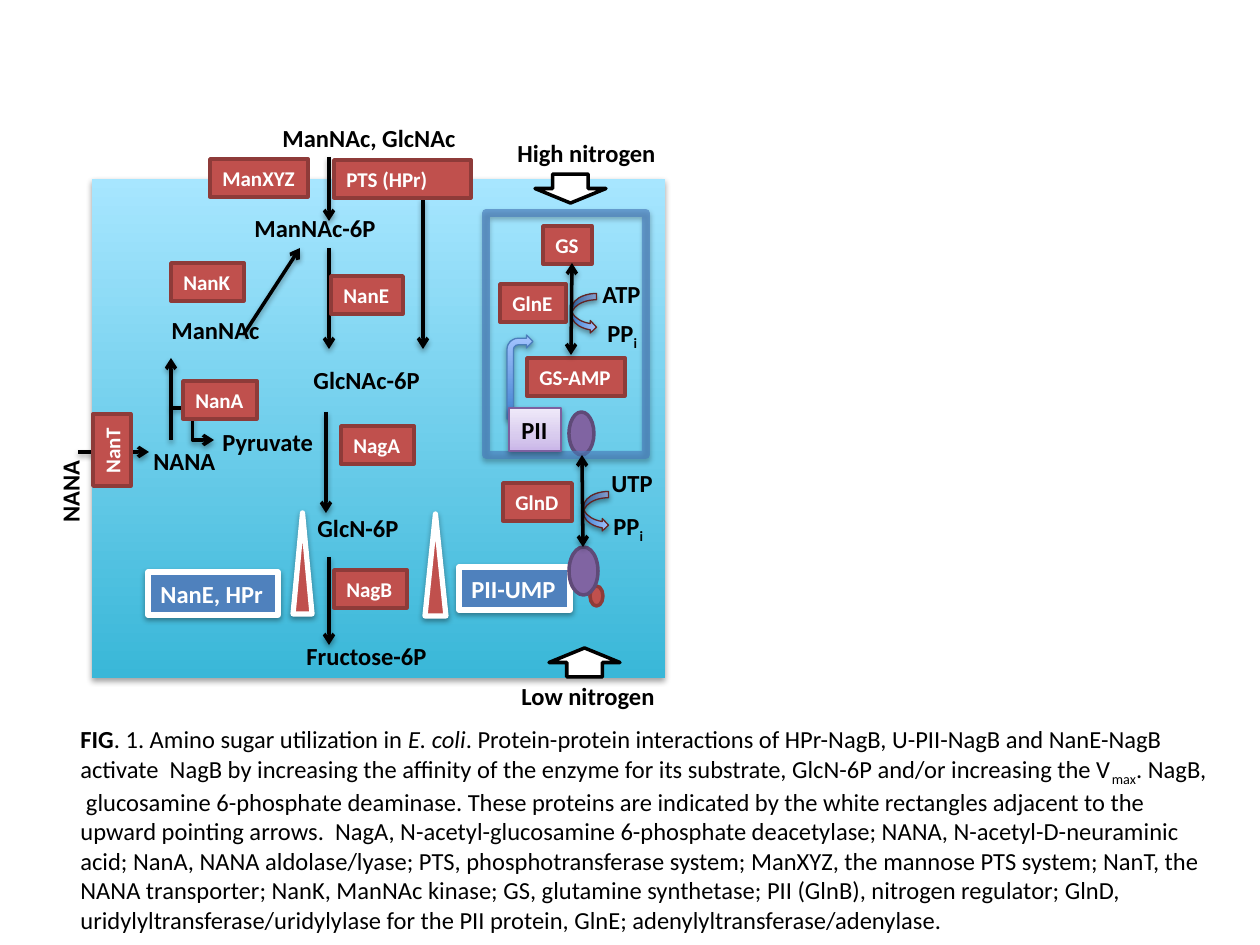
from dataclasses import dataclass
from lxml import etree
from pptx import Presentation, util as u
from pptx.dml.color import RGBColor
from pptx.enum import shapes, text
from pptx.oxml.ns import qn

SHAPE = shapes.MSO_SHAPE


@dataclass(frozen=True)
class Theme:
    font: str = "Calibri"
    body: int = 14
    small: int = 12
    ink: str = "000000"
    paper: str = "FFFFFF"
    enzyme: str = "C0504D"
    enzyme_edge: str = "8E3B39"
    regulator: str = "4F81BD"
    protein: str = "8064A2"
    protein_edge: str = "5F4A78"
    frame: str = "4B7EBC"
    turn_edge: str = "632523"
    tag_edge: str = "7D60A0"
    cell: tuple = ((0, "39B7D8"), (100, "A7E6FF"))
    turn: tuple = ((0, "3F80CE"), (100, "A4C4FF"))
    tag: tuple = ((0, "C9B5E8"), (35, "D8CBEE"), (100, "F0EAF9"))


def px(value):
    return round(value * u.Inches(1) / 126)


def child(parent, tag, **attributes):
    return etree.SubElement(parent, qn(tag), attributes)


def add_run(paragraph, wording, size, color, bold=False, italic=False, baseline=0):
    run = paragraph.add_run()
    run.text = wording
    font = run.font
    font.name, font.size, font.bold, font.italic = Theme.font, u.Pt(size), bold, italic
    font.color.rgb = RGBColor.from_string(color)
    if baseline:
        run._r.get_or_add_rPr().set("baseline", str(baseline * 1000))


class Diagram:
    def __init__(self, slide, theme):
        self.slide, self.theme = slide, theme

    def put_text(self, shape, runs, size, color, wrap=False):
        frame = shape.text_frame
        frame.word_wrap = wrap
        frame.auto_size = text.MSO_AUTO_SIZE.SHAPE_TO_FIT_TEXT
        paragraph = frame.paragraphs[0]
        paragraph.alignment = text.PP_ALIGN.LEFT
        for wording, style in runs:
            add_run(paragraph, wording, size, color, **style)

    def shade(self, properties):
        effects = properties.find(qn("a:effectLst"))
        shadow = child(effects, "a:outerShdw", blurRad="40000", dist="21000",
                       dir="5400000", rotWithShape="0")
        child(child(shadow, "a:srgbClr", val=self.theme.ink), "a:alpha", val="37000")

    def shape(self, kind, left, top, width, height, fill=None, edge=None,
              weight=2, rotation=0, shadow=False):
        item = self.slide.shapes.add_shape(kind, px(left), px(top), px(width), px(height))
        item.rotation = rotation
        if fill is None:
            item.fill.background()
        elif isinstance(fill, str):
            item.fill.solid()
            item.fill.fore_color.rgb = RGBColor.from_string(fill)
        else:
            item.fill.gradient()
            item.fill.gradient_angle = 90
            stops = item._element.spPr.find(qn("a:gradFill")).find(qn("a:gsLst"))
            for stop in list(stops):
                stops.remove(stop)
            for position, color in fill:
                child(child(stops, "a:gs", pos=str(position * 1000)), "a:srgbClr", val=color)
        if edge:
            item.line.color.rgb = RGBColor.from_string(edge)
            item.line.width = u.Pt(weight)
        else:
            item.line.fill.background()
        item.shadow.inherit = False
        if shadow:
            self.shade(item._element.spPr)
        return item

    def label(self, runs, left, top, width, height=43, rotation=0, wrap=False):
        item = self.slide.shapes.add_textbox(px(left), px(top), px(width), px(height))
        item.rotation = rotation
        if isinstance(runs, str):
            runs = [(runs, {"bold": True})]
        self.put_text(item, runs, self.theme.body, self.theme.ink, wrap)

    def enzyme(self, name, left, top, width, rotation=0, wrap=False):
        item = self.shape(SHAPE.RECTANGLE, left, top, width, 38, self.theme.enzyme,
                          self.theme.enzyme_edge, rotation=rotation)
        self.put_text(item, [(name, {"bold": True})], self.theme.small, self.theme.paper, wrap)

    def tag(self, name, left, top, width, fill, edge, weight, color):
        item = self.shape(SHAPE.RECTANGLE, left, top, width, 43, fill, edge, weight, shadow=True)
        self.put_text(item, [(name, {"bold": True})], self.theme.body, color)

    def arrow(self, x1, y1, x2, y2, both=False, kind=shapes.MSO_CONNECTOR.STRAIGHT):
        item = self.slide.shapes.add_connector(kind, px(x1), px(y1), px(x2), px(y2))
        item.line.color.rgb = RGBColor.from_string(self.theme.ink)
        item.line.width = u.Pt(2)
        stroke = item.line._get_or_add_ln()
        if both:
            child(stroke, "a:headEnd", type="arrow")
        child(stroke, "a:tailEnd", type="arrow")
        properties = item._element.spPr
        child(properties, "a:effectLst")
        self.shade(properties)


theme = Theme()
deck = Presentation()
deck.slide_width, deck.slide_height = u.Inches(10), u.Inches(7.5)
diagram = Diagram(deck.slides.add_slide(deck.slide_layouts[6]), theme)

diagram.shape(SHAPE.RECTANGLE, 92, 179, 573, 499, theme.cell, shadow=True)

bold, subscript = {"bold": True}, {"bold": True, "baseline": -25}
pyrophosphate = [("PP", bold), ("i", subscript)]
for metabolite in (
    ("ManNAc", 159, 309, 183, 43, 0, True), ("ManNAc-6P", 242, 207, 147),
    ("GlcNAc-6P", 301, 359, 181, 43, 0, True), ("GlcN-6P", 305, 507, 107),
    ("Fructose-6P", 294, 635, 146), ("ManNAc, GlcNAc", 270, 117, 324, 72, 0, True),
    ("NANA", 141, 440, 140, 43, 0, True), ("NANA", -21, 422, 183, 43, 270, True),
    ("Pyruvate", 210, 421, 117), ("UTP", 599, 462, 67), ("ATP", 590, 273, 68),
    (pyrophosphate, 595, 312, 58), (pyrophosphate, 601, 505, 58),
    ("Low nitrogen", 509, 675, 161), ("High nitrogen", 505, 132, 165),
):
    diagram.label(*metabolite)

for step in (
    (329, 248, 329, 349), (326, 412, 326, 513), (329, 557, 329, 645), (329, 157, 329, 221),
    (244, 334, 300, 248), (78, 452, 149, 452), (171, 440, 171, 358), (423, 198, 423, 349),
):
    diagram.arrow(*step)
diagram.arrow(171, 408, 214, 440, kind=shapes.MSO_CONNECTOR.ELBOW)

for name, left, top, width in (("PII-UMP", 459, 567, 111), ("NanE, HPr", 148, 572, 130)):
    diagram.tag(name, left, top, width, theme.regulator, theme.paper, 3, theme.paper)

for left, top, width, height, fill, edge in (
    (569, 412, 25, 43, theme.protein, theme.protein_edge),
    (590, 586, 13, 20, theme.enzyme, theme.enzyme_edge),
    (569, 547, 29, 48, theme.protein, theme.protein_edge),
):
    diagram.shape(SHAPE.OVAL, left, top, width, height, fill, edge)

frame = diagram.shape(SHAPE.RECTANGLE, 486, 213, 160, 242, edge=theme.frame,
                      weight=4.5, shadow=True)
frame_color = next(frame.line._get_or_add_ln().iter(qn("a:srgbClr")))
child(frame_color, "a:alpha", val="68000")

for left, top in ((576, 499), (564, 301)):
    diagram.shape(SHAPE.CURVED_UP_ARROW, left, top, 40, 25, theme.turn, theme.turn_edge,
                  0.75, rotation=90, shadow=True)
diagram.shape(SHAPE.BENT_ARROW, 507, 335, 26, 84, theme.turn, theme.frame, 0.75, shadow=True)
diagram.tag("PII", 509, 408, 52, theme.tag, theme.tag_edge, 0.75, theme.ink)

diagram.arrow(582, 455, 583, 547, both=True)
for enzyme in (
    ("NanE", 331, 276, 72), ("NanK", 171, 263, 73), ("NagA", 341, 426, 73),
    ("NagB", 334, 570, 73), ("ManXYZ", 210, 159, 98), ("PTS (HPr)", 334, 160, 137, 0, True),
    ("NanA", 183, 381, 74), ("NanT", 76, 431, 72, 270), ("GlnD", 503, 483, 69),
    ("GS-AMP", 527, 358, 98), ("GS", 543, 226, 49), ("GlnE", 500, 284, 66),
):
    diagram.enzyme(*enzyme)
diagram.arrow(572, 263, 571, 355, both=True)

for left, top, rotation in ((549, 648, 180), (535, 174, 0)):
    diagram.shape(SHAPE.DOWN_ARROW, left, top, 71, 29, theme.paper, theme.ink, rotation=rotation)
for left, top, width, height in ((425, 514, 21, 102), (293, 513, 19, 101)):
    diagram.shape(SHAPE.ISOSCELES_TRIANGLE, left, top, width, height, theme.enzyme,
                  theme.paper, 3, shadow=True)

caption = [
    ("FIG", bold),
    (". 1. Amino sugar utilization in ", {}),
    ("E. coli", {"italic": True}),
    (". Protein-protein interactions of HPr-NagB, U-PII-NagB and NanE-NagB activate  NagB by "
     "increasing the affinity of the enzyme for its substrate, GlcN-6P and/or increasing the V", {}),
    ("max", {"baseline": -25}),
    (". NagB,  glucosamine 6-phosphate deaminase. These proteins are indicated by the white "
     "rectangles adjacent to the upward pointing arrows.  NagA, N-acetyl-glucosamine 6-phosphate "
     "deacetylase; NANA, N-acetyl-D-neuraminic acid; NanA, NANA aldolase/lyase; PTS, "
     "phosphotransferase system; ManXYZ, the mannose PTS system; NanT, the NANA transporter; "
     "NanK, ManNAc kinase; GS, glutamine synthetase; PII (GlnB), nitrogen regulator; GlnD,  "
     "uridylyltransferase/uridylylase for the PII protein, GlnE; adenylyltransferase/adenylase.", {}),
]
diagram.label(caption, 68, 718, 1152, 221, wrap=True)

deck.save("out.pptx")
